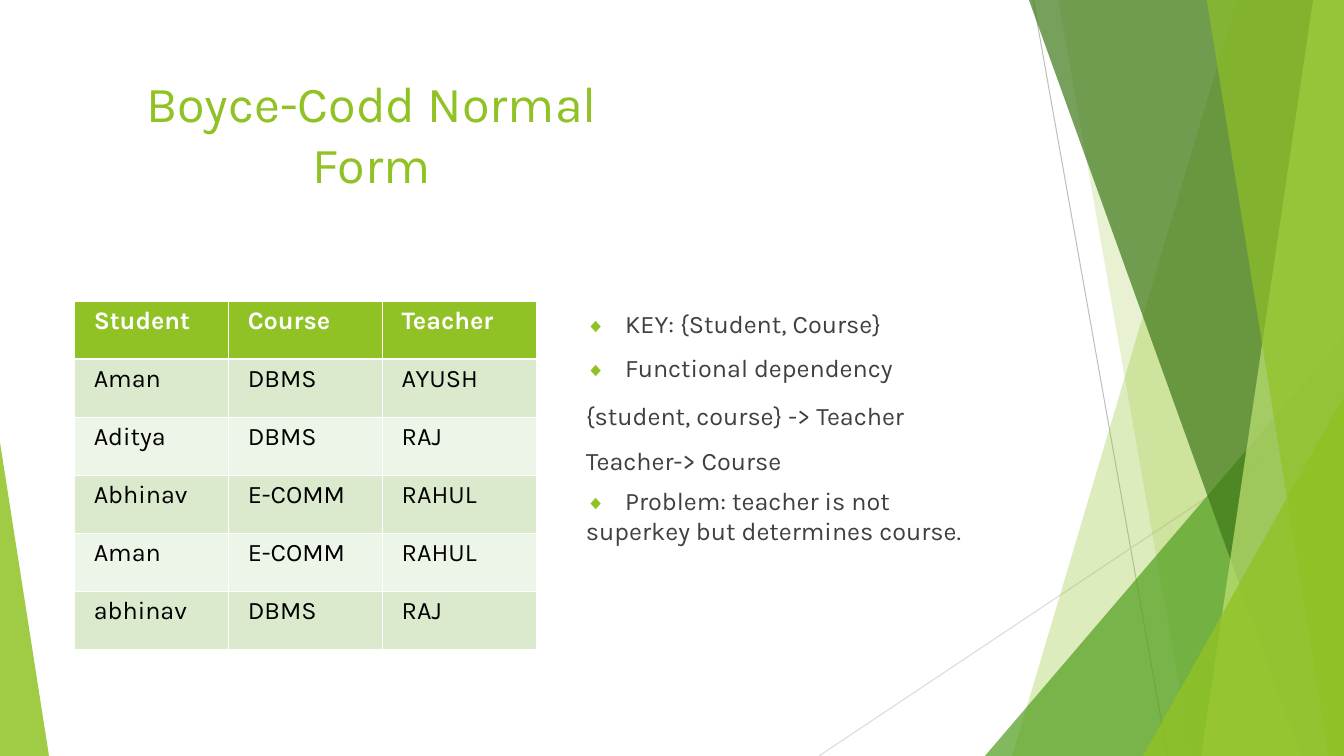
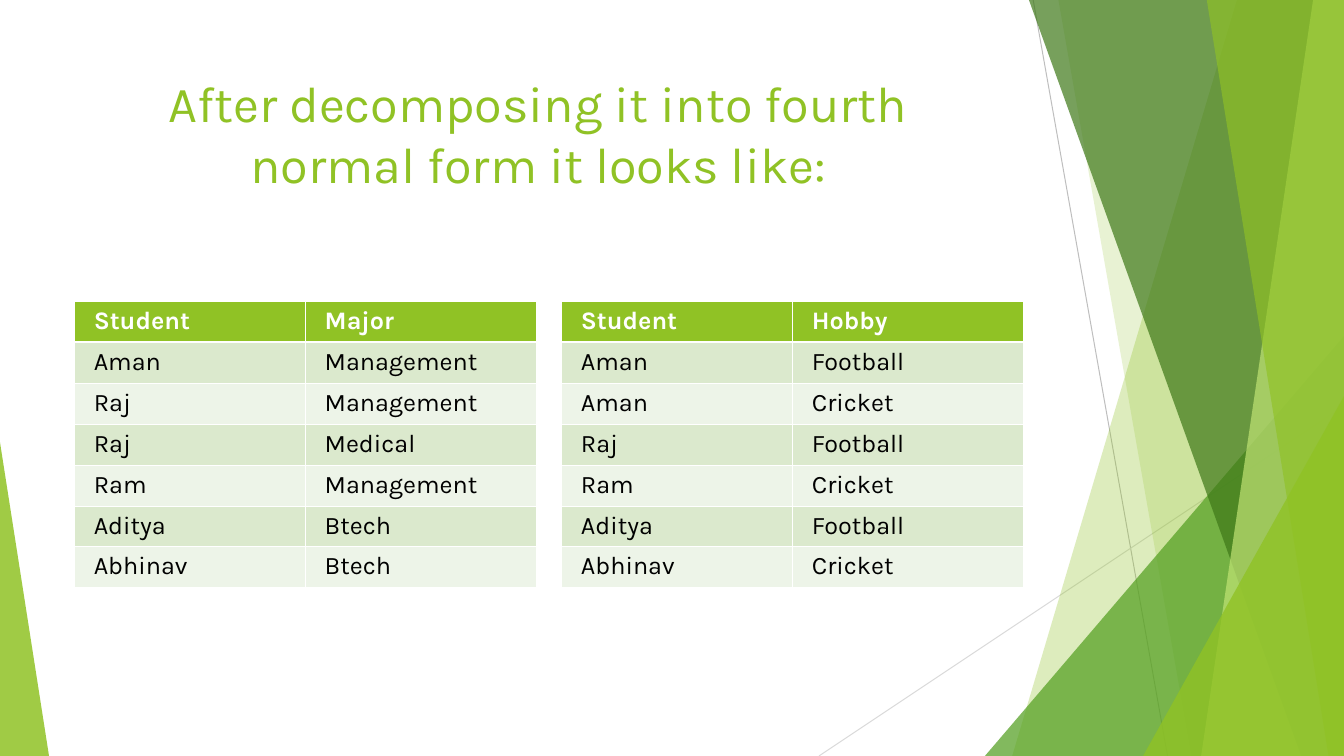
from dataclasses import dataclass

from pptx import Presentation
from pptx.dml.color import RGBColor
from pptx.enum.shapes import MSO_CONNECTOR
from pptx.enum.text import PP_ALIGN
from pptx.oxml.ns import qn
from pptx.oxml.xmlchemy import OxmlElement
from pptx.slide import Slide
from pptx.table import _Cell
from pptx.text.text import TextFrame, _Paragraph
from pptx.util import Pt

# Shared look
WIDTH, HEIGHT = 960, 540
GREEN, WHITE, BLACK, GREY = "90C225", "FFFFFF", "000000", "404040"
BANDS = ("DBE9CD", "EDF4E8")
TEXT_FONT, BULLET_FONT = "Karla", "Arial"
TABLE_TOP, TABLE_WIDTH = 215.3, 330
LEFT_TABLE, RIGHT_TABLE = 53, 401
BULLET_TAB = 28


@dataclass(frozen=True)
class Facet:
    points: tuple[tuple[float, float], ...]
    color: str
    opacity: int


@dataclass(frozen=True)
class Ray:
    start: tuple[float, float]
    end: tuple[float, float]
    color: str


@dataclass(frozen=True)
class Relation:
    left: float
    row_height: float
    rows: tuple[tuple[str, ...], ...]


@dataclass(frozen=True)
class Note:
    text: str
    bullet: bool = False
    before: float = 0
    line: float | None = None


def right_facet(top: float, bottom: float, color: str, opacity: int, start: float = 0) -> Facet:
    """A facet between a slanted left side and the right slide edge."""
    corners = ((WIDTH, start), (top, start), (bottom, HEIGHT), (WIDTH, HEIGHT))
    return Facet(corners, color, opacity)


RAYS = (
    Ray((738, 0), (834, HEIGHT), "BEBEBE"),
    Ray((WIDTH, 290), (585, HEIGHT), "D9D9D9"),
)
FACETS = (
    right_facet(883.5, 723, GREEN, 30),
    right_facet(756, 851, GREEN, 20),
    right_facet(WIDTH, 703.5, "539F20", 72, start=240),
    right_facet(735, 929.5, "3E7818", 70),
    right_facet(938, 858, "C0E374", 70),
    right_facet(862, 949, GREEN, 65),
    right_facet(WIDTH, 816.5, GREEN, 80, start=283),
    Facet(((0, 316), (0, HEIGHT), (35, HEIGHT)), GREEN, 85),
)

# Slide content
ENROLMENT = Relation(LEFT_TABLE, 41.4, (
    ("Student", "Course", "Teacher"),
    ("Aman", "DBMS", "AYUSH"),
    ("Aditya", "DBMS", "RAJ"),
    ("Abhinav", "E-COMM", "RAHUL"),
    ("Aman", "E-COMM", "RAHUL"),
    ("abhinav", "DBMS", "RAJ"),
))
MAJORS = Relation(LEFT_TABLE, 29.2, (
    ("Student", "Major"),
    ("Aman", "Management"),
    ("Raj", "Management"),
    ("Raj", "Medical"),
    ("Ram", "Management"),
    ("Aditya", "Btech"),
    ("Abhinav", "Btech"),
))
HOBBIES = Relation(RIGHT_TABLE, 29.2, (
    ("Student", "Hobby"),
    ("Aman", "Football"),
    ("Aman", "Cricket"),
    ("Raj", "Football"),
    ("Ram", "Cricket"),
    ("Aditya", "Football"),
    ("Abhinav", "Cricket"),
))
NOTES = (
    Note("KEY: {Student, Course}", bullet=True),
    Note("Functional dependency", bullet=True, before=10),
    Note("{student, course} -> Teacher", before=2.6, line=31.8),
    Note("Teacher-> Course", line=31.8),
    Note("Problem: teacher is not superkey but determines course.", bullet=True, before=7.3),
)


def rgb(value: str) -> RGBColor:
    return RGBColor.from_string(value)


def add_run(paragraph: _Paragraph, text: str, size: float, color: str,
            font: str = TEXT_FONT, bold: bool = False) -> None:
    run = paragraph.add_run()
    run.text = text
    run.font.name, run.font.size, run.font.bold = font, Pt(size), bold
    run.font.color.rgb = rgb(color)


def add_frame(slide: Slide, left: float, top: float, width: float, height: float,
              inset_left: float, inset_top: float) -> TextFrame:
    frame = slide.shapes.add_textbox(Pt(left), Pt(top), Pt(width), Pt(height)).text_frame
    frame.word_wrap = True
    frame.margin_left, frame.margin_top = Pt(inset_left), Pt(inset_top)
    frame.margin_right = frame.margin_bottom = 0
    return frame


# Background facets and thin rays
def add_backdrop(slide: Slide) -> None:
    for ray in RAYS:
        line = slide.shapes.add_connector(
            MSO_CONNECTOR.STRAIGHT, *(Pt(v) for v in ray.start + ray.end))
        line.line.color.rgb = rgb(ray.color)
        line.line.width = Pt(0.71)
        line._element.spPr.append(OxmlElement("a:effectLst"))
    for facet in FACETS:
        first, *others = [(Pt(x), Pt(y)) for x, y in facet.points]
        builder = slide.shapes.build_freeform(*first)
        builder.add_line_segments(others, close=True)
        shape = builder.convert_to_shape()
        shape.shadow.inherit = False
        shape.fill.solid()
        shape.fill.fore_color.rgb = rgb(facet.color)
        alpha = OxmlElement("a:alpha")
        alpha.set("val", str(facet.opacity * 1000))
        shape._element.spPr.find(".//" + qn("a:srgbClr")).append(alpha)
        shape.line.fill.background()


def add_title(slide: Slide, text: str, width: float) -> None:
    title = add_frame(slide, 60, 49.7, width, 88, 1, 2).paragraphs[0]
    title.alignment = PP_ALIGN.CENTER
    add_run(title, text, 36, GREEN)


# Tables
def set_borders(cell: _Cell, top: float, bottom: float) -> None:
    properties = cell._tc.get_or_add_tcPr()
    for side, width in (("L", 0.45), ("R", 0.45), ("T", top), ("B", bottom)):
        border = OxmlElement(f"a:ln{side}")
        border.set("w", str(int(Pt(width))))
        fill = OxmlElement("a:solidFill")
        color = OxmlElement("a:srgbClr")
        color.set("val", WHITE)
        fill.append(color)
        border.append(fill)
        properties.append(border)


def add_relation(slide: Slide, relation: Relation) -> None:
    rows, columns = len(relation.rows), len(relation.rows[0])
    table = slide.shapes.add_table(
        rows, columns, Pt(relation.left), Pt(TABLE_TOP),
        Pt(TABLE_WIDTH), Pt(relation.row_height * rows)).table
    for column in table.columns:
        column.width = Pt(TABLE_WIDTH / columns)
    for r, values in enumerate(relation.rows):
        table.rows[r].height = Pt(relation.row_height)
        header = r == 0
        for c, value in enumerate(values):
            cell = table.cell(r, c)
            cell.margin_left, cell.margin_top = Pt(14), Pt(3.6)
            cell.margin_right = cell.margin_bottom = 0
            set_borders(cell, 1.47 if r == 1 else 0.45, 1.47 if header else 0.45)
            cell.fill.solid()
            cell.fill.fore_color.rgb = rgb(GREEN if header else BANDS[(r - 1) % 2])
            add_run(cell.text_frame.paragraphs[0], value, 18,
                    WHITE if header else BLACK, bold=header)


# Notes beside the table
def set_tab(paragraph: _Paragraph, position: float) -> None:
    stops = OxmlElement("a:tabLst")
    stop = OxmlElement("a:tab")
    stop.set("pos", str(int(Pt(position))))
    stop.set("algn", "l")
    stops.append(stop)
    paragraph._p.get_or_add_pPr().append(stops)


def add_notes(slide: Slide, notes: tuple[Note, ...]) -> None:
    frame = add_frame(slide, 417.6, 208, 294, 181, 1, 12)
    for i, note in enumerate(notes):
        paragraph = frame.add_paragraph() if i else frame.paragraphs[0]
        if note.bullet:
            set_tab(paragraph, BULLET_TAB)
            add_run(paragraph, "◆\t", 14, GREEN, BULLET_FONT)
        if note.line:
            paragraph.line_spacing = Pt(note.line)
        paragraph.space_before = Pt(note.before)
        add_run(paragraph, note.text, 18, GREY)


def main() -> None:
    deck = Presentation()
    deck.slide_width, deck.slide_height = Pt(WIDTH), Pt(HEIGHT)

    def add_slide(title: str, title_width: float, *relations: Relation) -> Slide:
        slide = deck.slides.add_slide(deck.slide_layouts[6])
        add_backdrop(slide)
        add_title(slide, title, title_width)
        for relation in relations:
            add_relation(slide, relation)
        return slide

    boyce_codd = add_slide("Boyce-Codd Normal Form", 410, ENROLMENT)
    add_notes(boyce_codd, NOTES)
    add_slide("After decomposing it into fourth normal form it looks like:", 648,
              MAJORS, HOBBIES)
    deck.save("out.pptx")


if __name__ == "__main__":
    main()
